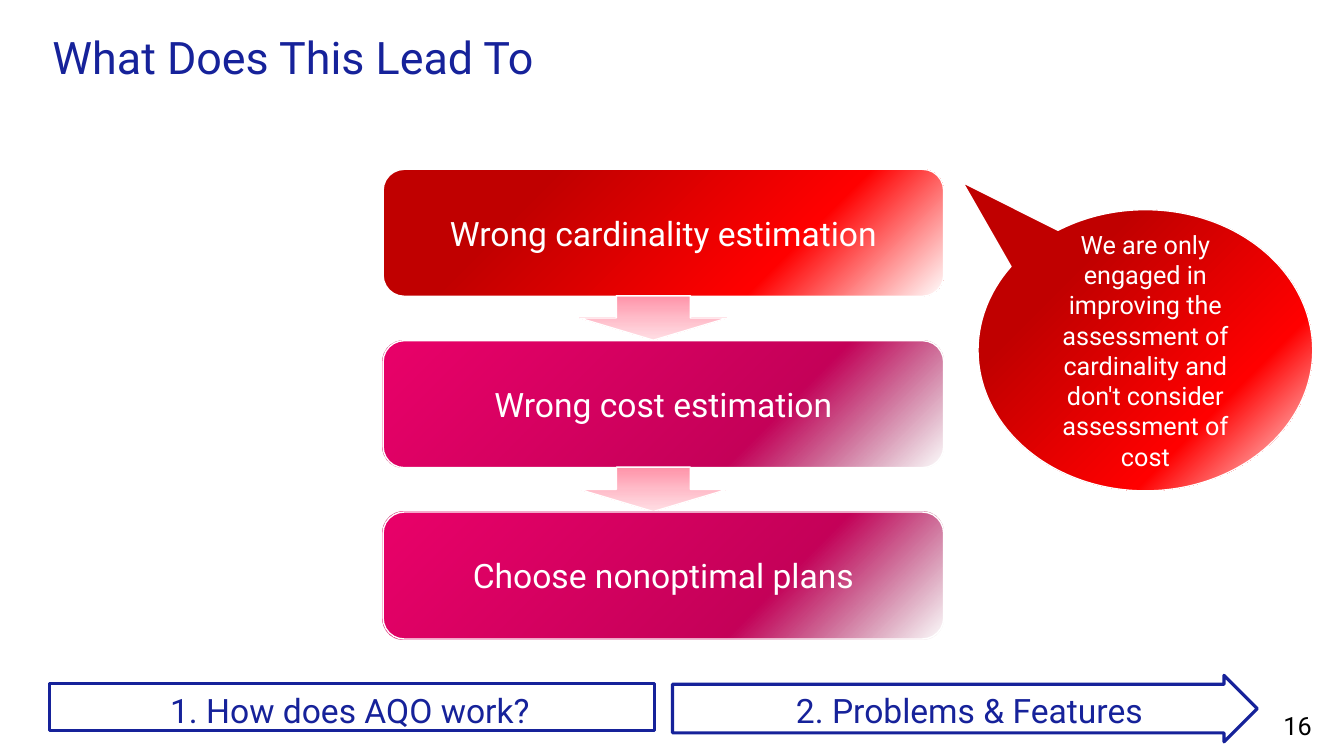
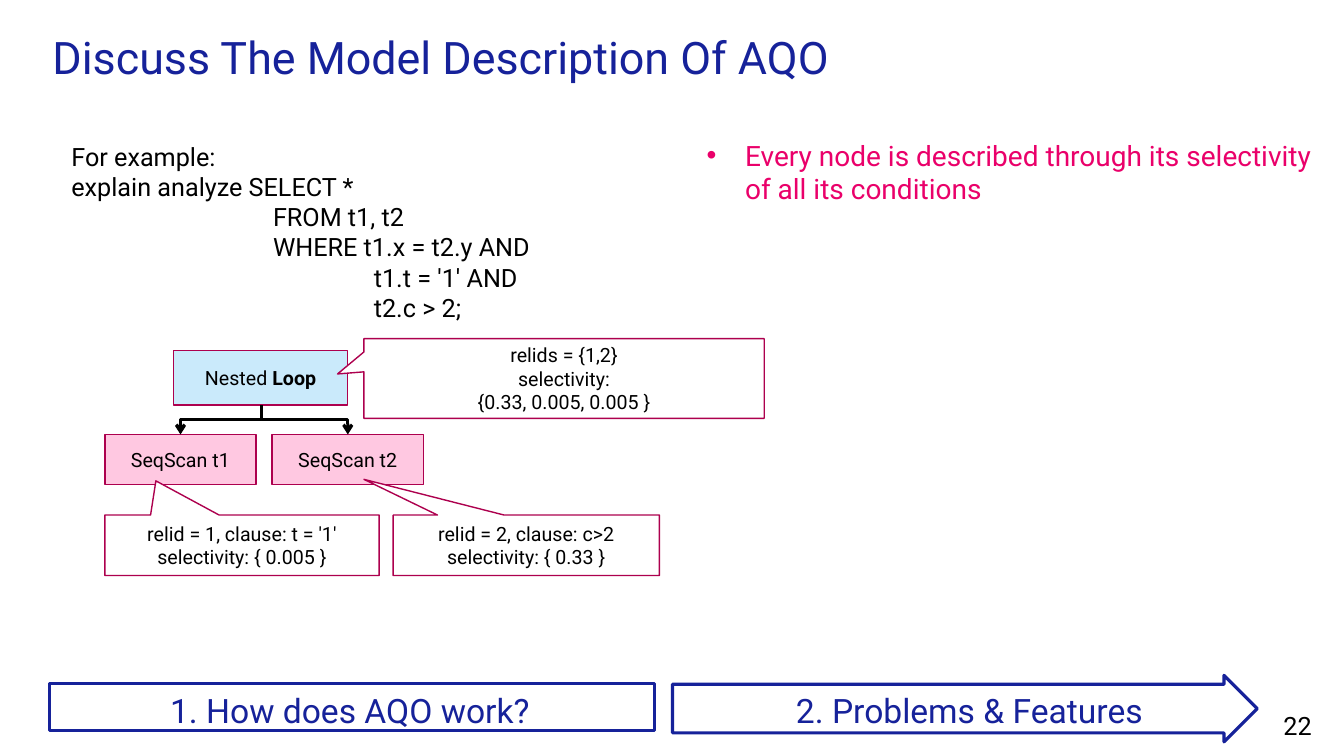
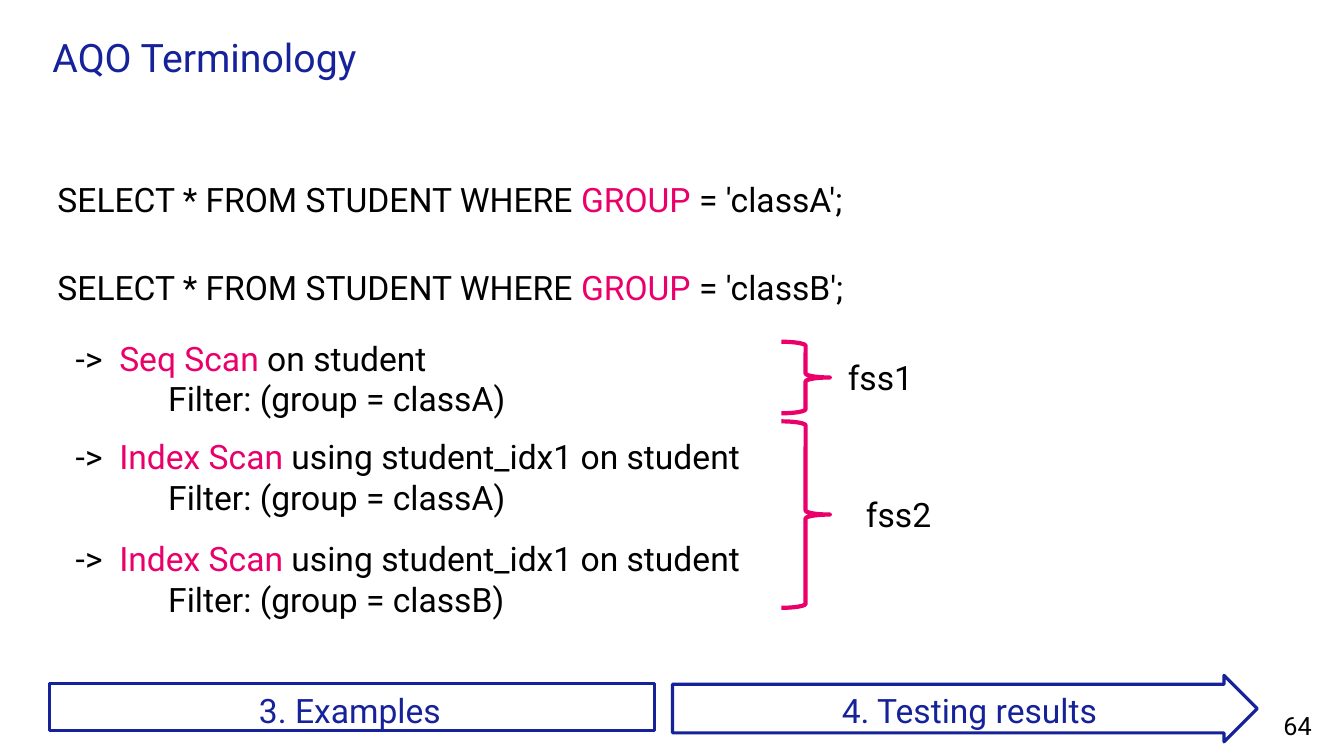
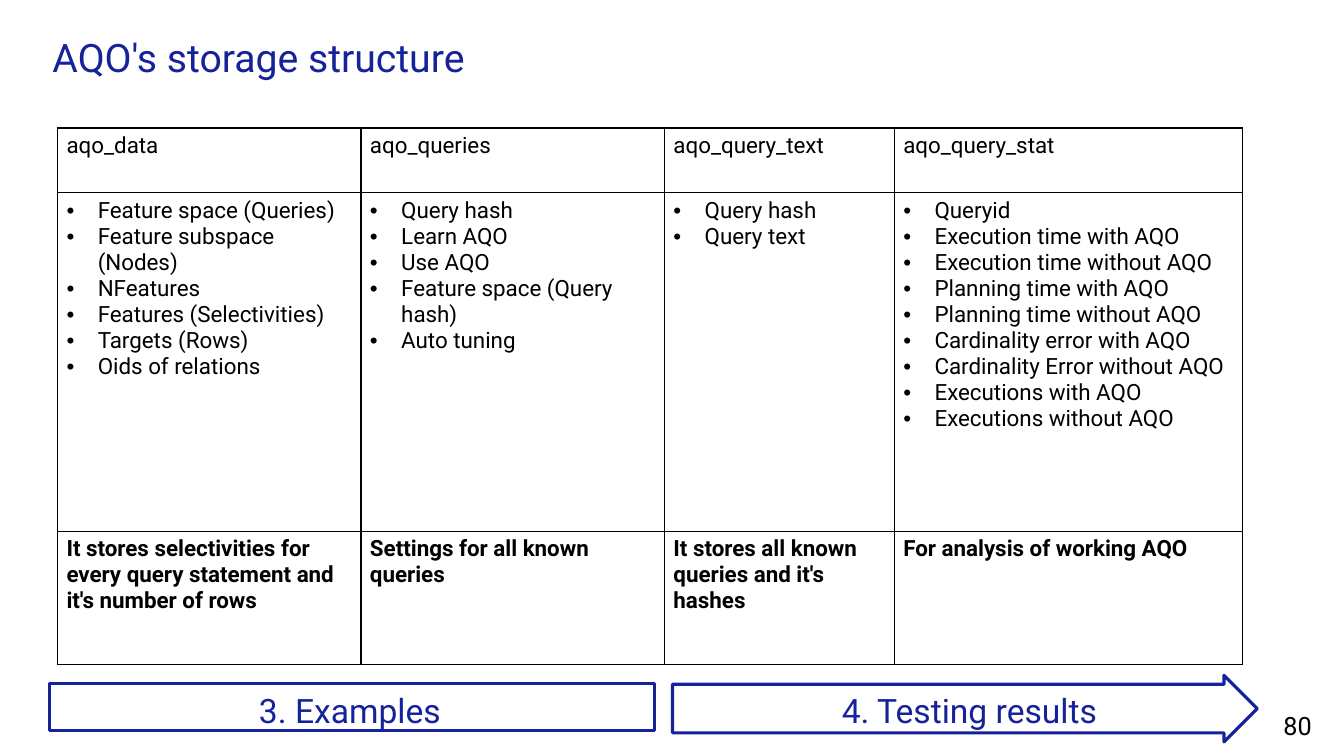
from dataclasses import dataclass
from typing import NamedTuple, Optional, Sequence, Union

from lxml import etree
from pptx import Presentation
from pptx import util as u
from pptx.dml.color import RGBColor
from pptx.enum import shapes, text
from pptx.oxml import ns

FONT = "Roboto"
NAVY, PINK, BLACK, WHITE = "16229A", "EA006A", "000000", "FFFFFF"
BERRY, BRACE_PINK, SKY, ROSE = "AD004E", "EB006B", "CAEAFB", "FFC8E1"
LEFT, CENTER, RIGHT = text.PP_ALIGN.LEFT, text.PP_ALIGN.CENTER, text.PP_ALIGN.RIGHT
TOP, MIDDLE, BOTTOM = (text.MSO_ANCHOR.TOP, text.MSO_ANCHOR.MIDDLE,
                       text.MSO_ANCHOR.BOTTOM)
GEOMETRY = shapes.MSO_SHAPE


class Box(NamedTuple):
    left: float
    top: float
    width: float
    height: float

    def lengths(self) -> list:
        return [u.Inches(v) for v in self]


class Run(NamedTuple):
    text: str
    color: Optional[str] = None
    bold: bool = False


Paragraph = Union[str, Sequence[Run]]


@dataclass(frozen=True)
class Style:
    size: float
    color: str = BLACK
    align: text.PP_ALIGN = LEFT
    anchor: text.MSO_ANCHOR = TOP
    inset: bool = True
    wrap: bool = True
    grow: bool = False
    bold: bool = False
    line_spacing: Optional[float] = None
    bullet_indent: float = 0
    tabs: int = 0


class Stop(NamedTuple):
    percent: int
    color: str
    alpha: int = 100


@dataclass(frozen=True)
class Gradient:
    """Linear from left to right, or radial from the bottom right corner."""
    stops: Sequence[Stop]
    radial: bool = False


class Look(NamedTuple):
    fill: Union[str, Gradient, None]
    line: str
    width: float = 1


RED = Gradient([Stop(0, WHITE), Stop(29, "FF0000"), Stop(75, "C00000")], True)
MAGENTA = Gradient([Stop(0, "8B003F", 0), Stop(32, "C50059"), Stop(100, PINK)], True)
BLUSH = Gradient([Stop(0, "FF92A8"), Stop(50, "FFBCC9"), Stop(100, "FFDEE4")])

TITLE = Style(32, NAVY, anchor=MIDDLE, inset=False, line_spacing=0.9)
SMALL_TITLE = Style(28, NAVY, anchor=MIDDLE, inset=False, line_spacing=0.9)
SECTION = Style(24, NAVY, CENTER, grow=True)
NUMBER = Style(18, align=RIGHT, anchor=BOTTOM, inset=False)
STEP = Style(24, WHITE, CENTER, MIDDLE)
CALLOUT = Style(18, WHITE, CENTER, MIDDLE)
NODE = Style(14, align=CENTER, anchor=MIDDLE)
POINT = Style(20, PINK, inset=False, bullet_indent=0.38)
EXAMPLE = Style(18, grow=True, tabs=3)
QUERY = Style(24, inset=False)
PLAN = Style(24, wrap=False, grow=True, tabs=1)
LABEL = Style(24, grow=True)
CELL = Style(16)
CELL_LIST = Style(16, bullet_indent=0.31)
CELL_NOTE = Style(16, bold=True)

BAND = Look(None, NAVY, 2.25)
NOTE = Look(WHITE, BERRY)


def rgb(color: str) -> RGBColor:
    return RGBColor.from_string(color)


def child(parent, tag: str, **attributes):
    element = etree.SubElement(parent, ns.qn(tag))
    for name, value in attributes.items():
        element.set(name, str(value))
    return element


def write(tf, paragraphs: Sequence[Paragraph], style: Style) -> None:
    for i, content in enumerate(paragraphs):
        p = tf.paragraphs[0] if i == 0 else tf.add_paragraph()
        p.alignment = style.align
        if style.line_spacing:
            p.line_spacing = style.line_spacing
        pPr = p._p.get_or_add_pPr()
        if style.bullet_indent:
            indent = u.Inches(style.bullet_indent)
            pPr.set("marL", str(indent))
            pPr.set("indent", str(-indent))
            child(pPr, "a:buFont", typeface="Arial")
            child(pPr, "a:buChar", char="•")
        if style.tabs:
            stops = child(pPr, "a:tabLst")
            for inch in range(1, style.tabs + 1):
                child(stops, "a:tab", pos=u.Inches(inch), algn="l")
        runs = [Run(content)] if isinstance(content, str) else content
        for run in runs:
            r = p.add_run()
            r.text = run.text
            r.font.name = FONT
            r.font.size = u.Pt(style.size)
            r.font.bold = run.bold or style.bold
            r.font.color.rgb = rgb(run.color or style.color)


def fill_frame(tf, paragraphs: Sequence[Paragraph], style: Style) -> None:
    tf.word_wrap = style.wrap
    tf.vertical_anchor = style.anchor
    if style.grow:
        tf.auto_size = text.MSO_AUTO_SIZE.SHAPE_TO_FIT_TEXT
    if not style.inset:
        tf.margin_left = tf.margin_right = tf.margin_top = tf.margin_bottom = 0
    write(tf, paragraphs, style)


def add_text(s, box: Box, paragraphs: Sequence[Paragraph], style: Style) -> None:
    fill_frame(s.shapes.add_textbox(*box.lengths()).text_frame, paragraphs, style)


def paint_gradient(sp, gradient: Gradient) -> None:
    sp.fill.gradient()
    grad = sp._element.spPr.find(ns.qn("a:gradFill"))
    for old in list(grad):
        grad.remove(old)
    grad.set("rotWithShape", "1")
    stops = child(grad, "a:gsLst")
    for stop in gradient.stops:
        gs = child(stops, "a:gs", pos=stop.percent * 1000)
        color = child(gs, "a:srgbClr", val=stop.color)
        if stop.alpha < 100:
            child(color, "a:alpha", val=stop.alpha * 1000)
    if gradient.radial:
        center = child(grad, "a:path", path="circle")
        child(center, "a:fillToRect", l=100000, t=100000)
    else:
        child(grad, "a:lin", ang=0, scaled=0)


def add_shape(s, kind, box: Box, look: Look, paragraphs: Sequence[Paragraph] = (),
              style: Style = NODE, adjust: Sequence[float] = (),
              rotation: float = 0) -> None:
    sp = s.shapes.add_shape(kind, *box.lengths())
    sp.shadow.inherit = False
    sp.rotation = rotation
    for i, value in enumerate(adjust):
        sp.adjustments[i] = value
    if look.fill is None:
        sp.fill.background()
    elif isinstance(look.fill, Gradient):
        paint_gradient(sp, look.fill)
    else:
        sp.fill.solid()
        sp.fill.fore_color.rgb = rgb(look.fill)
    sp.line.color.rgb = rgb(look.line)
    sp.line.width = u.Pt(look.width)
    if paragraphs:
        fill_frame(sp.text_frame, paragraphs, style)


def add_branch(s, x1: float, y1: float, x2: float, y2: float) -> None:
    """Elbow arrow that leaves downwards and arrives downwards."""
    drop, reach = y2 - y1, abs(x2 - x1)
    mid_x, mid_y = (x1 + x2) / 2, (y1 + y2) / 2
    left, right = mid_x - drop / 2, mid_x + drop / 2
    leftward = x2 < x1
    start, end = (left, right) if leftward else (right, left)
    line = s.shapes.add_connector(
        shapes.MSO_CONNECTOR.ELBOW, u.Inches(start), u.Inches(mid_y - reach / 2),
        u.Inches(end), u.Inches(mid_y + reach / 2))
    line.line.color.rgb = rgb(BLACK)
    line.line.width = u.Pt(2.25)
    spPr = line._element.spPr
    spPr.find(ns.qn("a:xfrm")).set("rot", str((90 if leftward else 270) * 60000))
    child(spPr.find(ns.qn("a:ln")), "a:tailEnd", type="arrow")
    child(spPr, "a:effectLst")


def add_slide(prs, title: str, title_style: Style, sections: Sequence[str],
              number: int):
    """Blank slide with its title, two section bands and number."""
    s = prs.slides.add_slide(prs.slide_layouts[6])
    add_shape(s, GEOMETRY.FLOWCHART_PROCESS, Box(0.49, 6.78, 6, 0.47), BAND)
    add_shape(s, GEOMETRY.RIGHT_ARROW, Box(6.67, 6.7, 5.8, 0.66), BAND,
              adjust=(0.73, 0.5))
    add_text(s, Box(0.47, 6.8, 6, 0.5), [sections[0]], SECTION)
    add_text(s, Box(6.7, 6.8, 5.83, 0.5), [sections[1]], SECTION)
    add_text(s, Box(11.75, 7.14, 1.26, 0.21), [str(number)], NUMBER)
    add_text(s, Box(0.52, 0.38, 11.02, 0.43), [title], title_style)
    return s


EARLY = ("1. How does AQO work?", "2. Problems & Features")
LATE = ("3. Examples", "4. Testing results")


def consequences(prs) -> None:
    s = add_slide(prs, "What Does This Lead To", TITLE, EARLY, 16)
    add_shape(s, GEOMETRY.OVAL_CALLOUT, Box(9.7, 2.08, 3.32, 2.79), Look(RED, WHITE),
              ["We are only engaged in improving the assessment of cardinality "
               "and don't consider assessment of cost"], CALLOUT, (-0.545, -0.596))
    steps = [("Wrong cardinality estimation", RED),
             ("Wrong cost estimation", MAGENTA),
             ("Choose nonoptimal plans", MAGENTA)]
    top, pitch = 1.68, 1.7
    for i, (label, fill) in enumerate(steps):
        y = top + i * pitch
        if i:
            add_shape(s, GEOMETRY.RIGHT_ARROW, Box(6.26, y - 0.96, 0.44, 1.47),
                      Look(BLUSH, WHITE), rotation=90)
        add_shape(s, GEOMETRY.ROUNDED_RECTANGLE, Box(3.8, y, 5.56, 1.26),
                  Look(fill, WHITE), [label], STEP)


def model_description(prs) -> None:
    s = add_slide(prs, "Discuss The Model Description Of AQO", TITLE, EARLY, 22)
    add_text(s, Box(7.01, 1.37, 6.07, 3.93),
             ["Every node is described through its selectivity of all its conditions"],
             POINT)
    add_text(s, Box(0.61, 1.35, 6, 1.92),
             ["For example:", "explain analyze SELECT *", "\t\tFROM t1, t2",
              "\t\tWHERE t1.x = t2.y AND", "\t\t\tt1.t = '1' AND",
              "\t\t\tt2.c > 2;"], EXAMPLE)
    add_shape(s, GEOMETRY.RECTANGLE, Box(1.72, 3.48, 1.73, 0.54), Look(SKY, BERRY),
              [[Run("Nested"), Run(" Loop", bold=True)]])
    for left, scan in ((1.04, "SeqScan t1"), (2.7, "SeqScan t2")):
        add_shape(s, GEOMETRY.RECTANGLE, Box(left, 4.31, 1.5, 0.5),
                  Look(ROSE, BERRY), [scan])
    notes = [
        (Box(3.9, 5.11, 2.64, 0.6), (-0.61, -1.09),
         ["relid = 2, clause: c>2", "selectivity: { 0.33 }"]),
        (Box(1.04, 5.11, 2.72, 0.6), (-0.314, -1.065),
         ["relid = 1, clause: t = '1'", "selectivity: { 0.005 }"]),
        (Box(3.61, 3.36, 3.97, 0.79), (-0.566, -0.057),
         ["relids = {1,2}", "selectivity:", "{0.33, 0.005, 0.005 }"]),
    ]
    for box, tip, lines in notes:
        add_shape(s, GEOMETRY.RECTANGULAR_CALLOUT, box, NOTE, lines, adjust=tip)
    for x in (1.79, 3.45):
        add_branch(s, 2.59, 4.02, x, 4.31)


def terminology(prs) -> None:
    s = add_slide(prs, "AQO Terminology", SMALL_TITLE, LATE, 64)
    for top, group in ((1.77, "classA"), (2.65, "classB")):
        add_text(s, Box(0.57, top, 11.81, 0.61),
                 [[Run("SELECT * FROM STUDENT WHERE "), Run("GROUP", PINK),
                   Run(f" = '{group}';")]], QUERY)
    index_rest = " using student_idx1 on student"
    plans = [(3.3, 4.59, "Seq Scan", " on student", "classA"),
             (4.28, 6.91, "Index Scan", index_rest, "classA"),
             (5.29, 6.91, "Index Scan", index_rest, "classB")]
    for top, width, scan, rest, group in plans:
        add_text(s, Box(0.57, top, width, 0.91),
                 [[Run(" ->  "), Run(scan, PINK), Run(rest)],
                  f"\tFilter: (group = {group})"], PLAN)
    braces = [(3.39, 0.71, "fss1", 8.31, 3.49), (4.18, 1.85, "fss2", 8.49, 4.85)]
    for top, height, name, label_left, label_top in braces:
        add_shape(s, GEOMETRY.RIGHT_BRACE, Box(7.75, top, 0.48, height),
                  Look(None, BRACE_PINK, 3))
        add_text(s, Box(label_left, label_top, 2.08, 0.5), [name], LABEL)


class Relation(NamedTuple):
    name: str
    width: float
    fields: Sequence[str]
    purpose: str


RELATIONS = [
    Relation("aqo_data", 3.01,
             ["Feature space (Queries)", "Feature subspace (Nodes)", "NFeatures",
              "Features (Selectivities)", "Targets (Rows)", "Oids of relations"],
             "It stores selectivities for every query statement and it's "
             "number of rows"),
    Relation("aqo_queries", 3.01,
             ["Query hash", "Learn AQO", "Use AQO", "Feature space (Query hash)",
              "Auto tuning"],
             "Settings for all known queries"),
    Relation("aqo_query_text", 2.28, ["Query hash", "Query text"],
             "It stores all known queries and it's hashes"),
    Relation("aqo_query_stat", 3.45,
             ["Queryid", "Execution time with AQO", "Execution time without AQO",
              "Planning time with AQO", "Planning time without AQO",
              "Cardinality error with AQO", "Cardinality Error without AQO",
              "Executions with AQO", "Executions without AQO"],
             "For analysis of working AQO"),
]


def fill_cell(cell, paragraphs: Sequence[Paragraph], style: Style) -> None:
    cell.margin_left = cell.margin_right = u.Inches(0.09)
    cell.margin_top = cell.margin_bottom = u.Inches(0.05)
    tcPr = cell._tc.get_or_add_tcPr()
    for side in "LRTB":
        ln = child(tcPr, f"a:ln{side}", w=u.Pt(1))
        child(child(ln, "a:solidFill"), "a:srgbClr", val=BLACK)
    cell.fill.solid()
    cell.fill.fore_color.rgb = rgb(WHITE)
    write(cell.text_frame, paragraphs, style)


def storage(prs) -> None:
    s = add_slide(prs, "AQO's storage structure", SMALL_TITLE, LATE, 80)
    heights = (0.64, 3.36, 1.32)
    box = Box(0.57, 1.27, sum(rel.width for rel in RELATIONS), sum(heights))
    table = s.shapes.add_table(len(heights), len(RELATIONS), *box.lengths()).table
    table.first_row = table.horz_banding = False
    for row, height in zip(table.rows, heights):
        row.height = u.Inches(height)
    for col, rel in enumerate(RELATIONS):
        table.columns[col].width = u.Inches(rel.width)
        fill_cell(table.cell(0, col), [rel.name], CELL)
        fill_cell(table.cell(1, col), rel.fields, CELL_LIST)
        fill_cell(table.cell(2, col), [rel.purpose], CELL_NOTE)


def main() -> None:
    prs = Presentation()
    prs.slide_width, prs.slide_height = u.Inches(13.33), u.Inches(7.5)
    for build in (consequences, model_description, terminology, storage):
        build(prs)
    prs.save("out.pptx")


if __name__ == "__main__":
    main()
